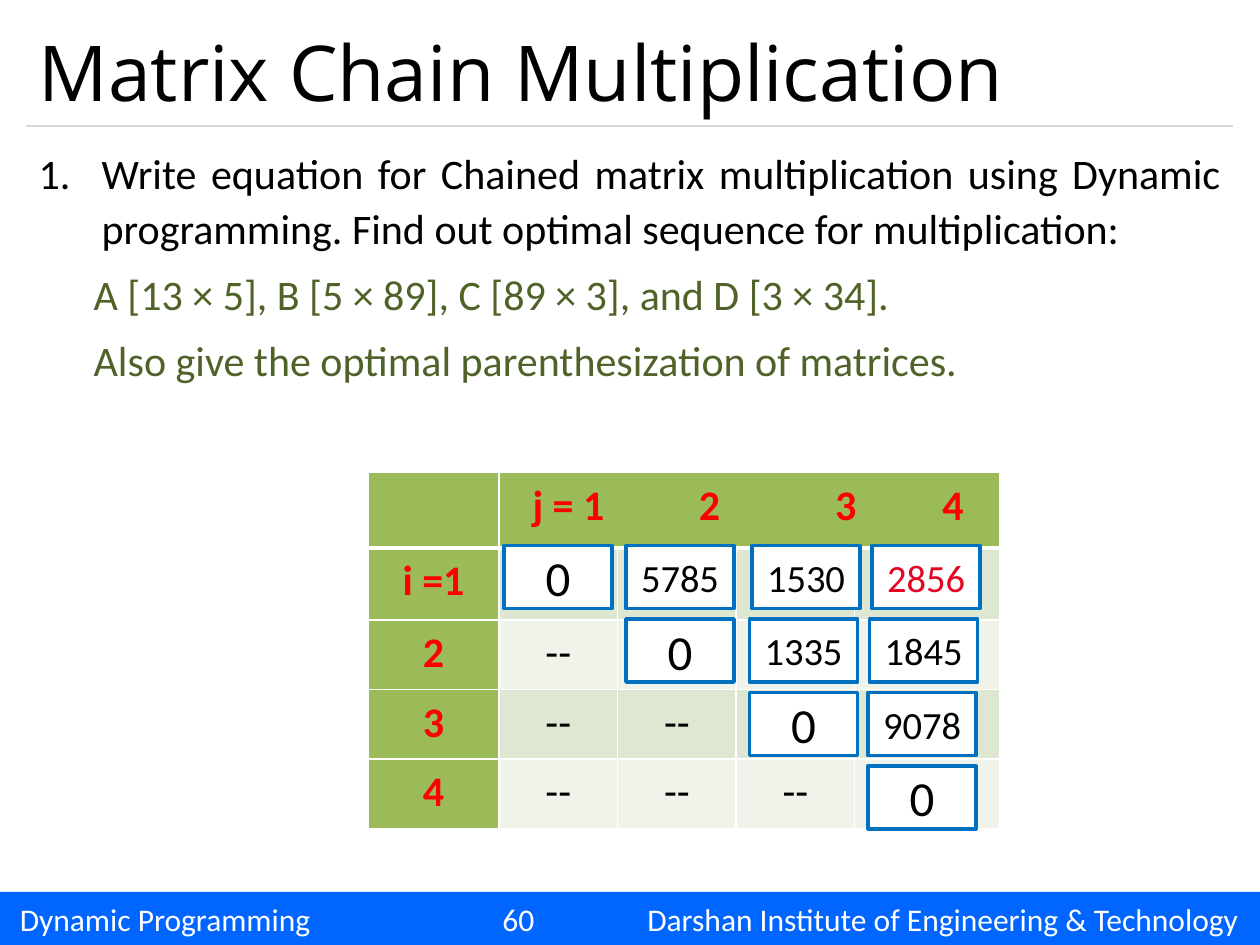
from dataclasses import dataclass

from lxml import etree
from pptx import Presentation
from pptx.dml.color import RGBColor
from pptx.enum import shapes, text
from pptx.oxml import ns
from pptx.util import Cm, Pt

ALIGN = text.PP_ALIGN
MID = text.MSO_ANCHOR.MIDDLE


@dataclass(frozen=True)
class Theme:
    head: str = "Open Sans"
    body: str = "Calibri"
    big: int = 44
    main: int = 24
    zero: int = 28
    cost: int = 22
    small: int = 18
    black: str = "000000"
    white: str = "FFFFFF"
    bar: str = "0066FF"
    rule: str = "D9D9D9"
    olive: str = "4F6228"
    green: str = "9BBB59"
    bands: tuple = ("DEE7D1", "EFF3EA")
    red: str = "FF0000"
    best: str = "E40524"
    edge: str = "0070C0"


T = Theme()


def rgb(code):
    return RGBColor.from_string(code)


def sub(node, tag, **attrs):
    return etree.SubElement(node, ns.qn(tag), {k: str(v) for k, v in attrs.items()})


def style(para, size, color, face=T.body, bold=False, align=ALIGN.LEFT):
    para.alignment = align
    font = para.font
    font.name, font.size, font.bold = face, Pt(size), bold
    font.color.rgb = rgb(color)


def tabs(para, stops):
    """Set tab stops given as (distance in cm, alignment)."""
    stop_list = sub(para._p.get_or_add_pPr(), "a:tabLst")
    for pos, algn in stops:
        sub(stop_list, "a:tab", pos=Cm(pos), algn=algn)


def add_text(slide, box):
    frame = slide.shapes.add_textbox(*map(Cm, box)).text_frame
    frame.word_wrap = True
    return frame


def add_rect(slide, box, fill, line=None):
    rect = slide.shapes.add_shape(shapes.MSO_SHAPE.RECTANGLE, *map(Cm, box))
    rect.shadow.inherit = False
    rect.fill.solid()
    rect.fill.fore_color.rgb = rgb(fill)
    if line:
        rect.line.color.rgb = rgb(line)
        rect.line.width = Pt(2)
    else:
        rect.line.fill.background()
    frame = rect.text_frame
    frame.vertical_anchor = MID
    return frame


def add_title(slide, box):
    left, top, width, height = box
    frame = add_text(slide, box)
    frame.vertical_anchor = MID
    para = frame.paragraphs[0]
    para.text = "Matrix Chain Multiplication"
    style(para, T.big, T.black, T.head)
    base = Cm(top + height)
    rule = slide.shapes.add_connector(
        shapes.MSO_CONNECTOR.STRAIGHT, Cm(left), base, Cm(left + width), base)
    rule.line.color.rgb = rgb(T.rule)
    rule.line.width = Pt(0.75)
    sub(rule._element.spPr, "a:effectLst")


def add_task(slide, box):
    frame = add_text(slide, box)
    lines = [
        ("Write equation for Chained matrix multiplication using Dynamic "
         "programming. Find out optimal sequence for multiplication:", T.black),
        ("A [13 × 5], B [5 × 89], C [89 × 3], and D [3 × 34].", T.olive),
        ("Also give the optimal parenthesization of matrices.", T.olive),
    ]
    for i, (words, color) in enumerate(lines):
        para = frame.add_paragraph() if i else frame.paragraphs[0]
        para.text = words
        props = para._p.get_or_add_pPr()
        props.set("marL", str(Cm(1.11 if i else 1.27)))
        props.set("indent", str(0 if i else Cm(-1.27)))
        if not i:
            sub(props, "a:buFont", typeface="+mj-lt")
            sub(props, "a:buAutoNum", type="arabicPeriod")
        para.line_spacing = 1.1
        para.space_after = Pt(6)
        style(para, T.main, color, align=ALIGN.JUSTIFY)


def set_cell(cell, fill, words="", color=T.black, bold=False, low=1, stops=()):
    props = cell._tc.get_or_add_tcPr()
    for side in "LRTB":
        line = sub(props, "a:ln" + side, w=Pt(low if side == "B" else 1))
        sub(sub(line, "a:solidFill"), "a:srgbClr", val=T.white)
    cell.fill.solid()
    cell.fill.fore_color.rgb = rgb(fill)
    cell.margin_left = cell.margin_right = Cm(0.18)
    cell.margin_top = cell.margin_bottom = 0
    para = cell.text_frame.paragraphs[0]
    para.text = words
    para.line_spacing = 1.15
    if stops:
        tabs(para, stops)
    style(para, T.main, color, bold=bold,
          align=ALIGN.LEFT if stops else ALIGN.CENTER)


def add_grid(slide, box):
    cols = [2.64, 2.39, 2.39, 2.39, 2.92]
    rows = [1.52, 1.45, 1.4, 1.4, 1.4]
    grid = slide.shapes.add_table(len(rows), len(cols), *map(Cm, box)).table
    grid.first_row = grid.horz_banding = False
    for col, width in zip(grid.columns, cols):
        col.width = Cm(width)
    for row, height in zip(grid.rows, rows):
        row.height = Cm(height)
    grid.cell(0, 1).merge(grid.cell(0, 4))
    set_cell(grid.cell(0, 0), T.green, low=3)
    stops = [(pos, "ctr") for pos in (1.22, 4.06, 6.81, 8.97)]
    set_cell(grid.cell(0, 1), T.green, "\tj = 1\t2\t3\t4", T.red, True, 3, stops)
    for i, label in enumerate(["i =1", "2", "3", "4"], 1):
        set_cell(grid.cell(i, 0), T.green, label, T.red, True)
        for j in range(1, 5):
            set_cell(grid.cell(i, j), T.bands[(i - 1) % 2], "--" if j < i else "")


def add_costs(slide, box):
    """Lay the cost boxes over the upper triangle of the grid."""
    left, top = box[:2]
    costs = [
        [("0", 2.74), ("5785", 5.2), ("1530", 7.74), ("2856", 10.16)],
        [("0", 5.2), ("1335", 7.69), ("1845", 10.11)],
        [("0", 7.69), ("9078", 10.08)],
        [("0", 10.08)],
    ]
    for i, row in enumerate(costs):
        for value, x in row:
            spot = (left + x, top + 1.47 + 1.48 * i, 2.18, 1.27)
            para = add_rect(slide, spot, T.white, T.edge).paragraphs[0]
            para.text = value
            style(para, T.zero if value == "0" else T.cost,
                  T.best if value == "2856" else T.black, align=ALIGN.CENTER)


def add_footer(slide, box):
    frame = add_rect(slide, box, T.bar)
    frame.margin_left = Cm(0.4)
    frame.margin_right = 0
    para = frame.paragraphs[0]
    para.text = "Dynamic Programming\t60\tDarshan Institute of Engineering & Technology"
    tabs(para, [(10.05, "ctr"), (24.57, "r")])
    style(para, T.small, T.white)


def main():
    deck = Presentation()
    deck.slide_width, deck.slide_height = Cm(25.4), Cm(19.05)
    slide = deck.slides.add_slide(deck.slide_layouts[6])
    add_footer(slide, (0, 17.98, 25.4, 1.07))
    add_title(slide, (0.53, 0.3, 24.33, 2.24))
    add_task(slide, (0.53, 2.74, 24.33, 14.8))
    table = (7.42, 9.53, 12.73, 7.17)
    add_grid(slide, table)
    add_costs(slide, table)
    deck.save("out.pptx")


if __name__ == "__main__":
    main()
